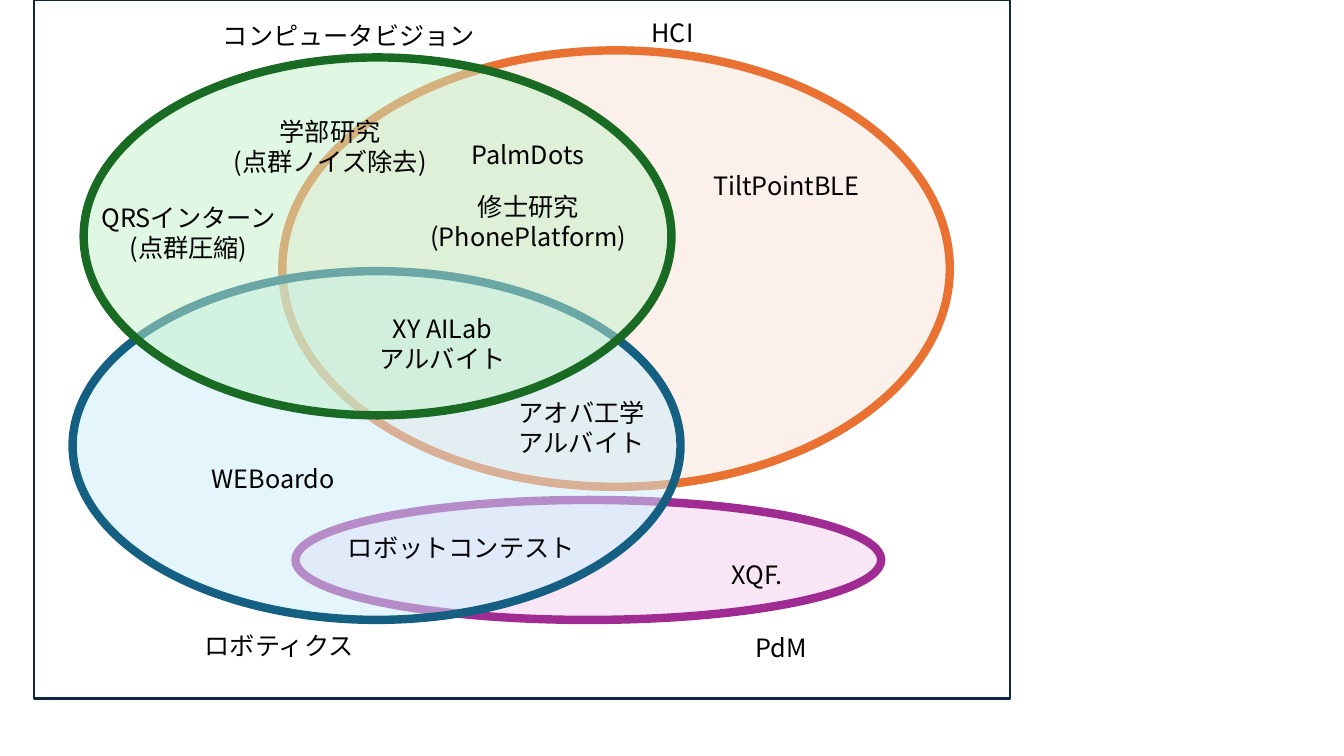
from lxml import etree
from pptx import Presentation
from pptx.dml.color import RGBColor
from pptx.enum.shapes import MSO_SHAPE as SHAPE
from pptx.enum.text import MSO_AUTO_SIZE as AUTO, PP_ALIGN as ALIGN
from pptx.oxml.ns import qn
from pptx.util import Inches, Pt

FONT = "Noto Sans CJK JP"
LINE_HEIGHT, PADDING = 0.305, 0.1
FRAME = (0.34, 0, 9.68, 6.93)

# Fields, back to front: box, fill, opacity in percent, outline
FIELDS = [
    ((2.8, 0.5, 6.62, 4.33), "FBE3D6", 50, "E97132"),    # HCI
    ((2.93, 4.96, 5.81, 1.19), "F2CFEE", 51, "A02B93"),  # PdM
    ((0.72, 2.69, 6.03, 3.46), "CAEEFB", 50, "156082"),  # robotics
    ((0.83, 0.57, 5.83, 3.55), "C2F1C8", 50, "196B24"),  # computer vision
]

# Labels: lines of text, left, top, width
FIELD_NAMES = [
    (["コンピュータビジョン"], 1.84, 0.15, 3.24),
    (["ロボティクス"], 1.15, 6.2, 3.24),
    (["HCI"], 5.05, 0.12, 3.24),
    (["PdM"], 6.67, 6.22, 2.16),
]
PROJECTS = [
    (["PalmDots"], 4.29, 1.33, 1.89),
    (["学部研究", "(点群ノイズ除去)"], 1.99, 1.1, 2.57),
    (["QRSインターン", "(点群圧縮)"], 0.76, 1.96, 2.22),
    (["修士研究", "(PhonePlatform)"], 3.62, 1.85, 3.24),
    (["TiltPointBLE"], 6.18, 1.64, 3.24),
    (["ロボットコンテスト"], 3.31, 5.23, 2.53),
    (["WEBoardo"], 1.09, 4.55, 3.24),
    (["XQF."], 6.67, 5.5, 1.68),
    (["XY AILab", "アルバイト"], 2.77, 3.06, 3.24),
    (["アオバ工学", "アルバイト"], 4.15, 3.89, 3.24),
]


def color(value):
    return RGBColor.from_string(value)


def add_area(slide, kind, box, fill, line, width, opacity=100):
    sp = slide.shapes.add_shape(kind, *map(Inches, box))
    sp.shadow.inherit = False
    sp.fill.solid()
    sp.fill.fore_color.rgb = color(fill)
    sp.line.color.rgb = color(line)
    sp.line.width = Pt(width)
    if opacity < 100:
        rgb = sp.fill._xPr.find(f"{qn('a:solidFill')}/{qn('a:srgbClr')}")
        etree.SubElement(rgb, qn("a:alpha"), val=str(opacity * 1000))


def add_label(slide, lines, left, top, width, size=18, ink="000000", align=ALIGN.CENTER):
    height = PADDING + LINE_HEIGHT * len(lines)
    sp = slide.shapes.add_textbox(*map(Inches, (left, top, width, height)))
    tf = sp.text_frame
    tf.word_wrap = True
    tf.auto_size = AUTO.SHAPE_TO_FIT_TEXT
    for i, line in enumerate(lines):
        p = tf.add_paragraph() if i else tf.paragraphs[0]
        p.alignment = align
        r = p.add_run()
        r.text = line
        r.font.size = Pt(size)
        r.font.name = FONT
        r.font.color.rgb = color(ink)
        etree.SubElement(r.font._element, qn("a:ea"), typeface=FONT)


def main():
    prs = Presentation()
    prs.slide_width, prs.slide_height = Inches(13.33), Inches(7.5)
    slide = prs.slides.add_slide(prs.slide_layouts[6])

    # Frame and the names of the fields
    add_area(slide, SHAPE.RECTANGLE, FRAME, "FFFFFF", "0E2841", 1.5)
    for label in FIELD_NAMES:
        add_label(slide, *label)

    # Overlapping fields, then the projects within them
    for box, fill, opacity, line in FIELDS:
        add_area(slide, SHAPE.OVAL, box, fill, line, 6, opacity)
    for label in PROJECTS:
        add_label(slide, *label)

    prs.save("out.pptx")


if __name__ == "__main__":
    main()
